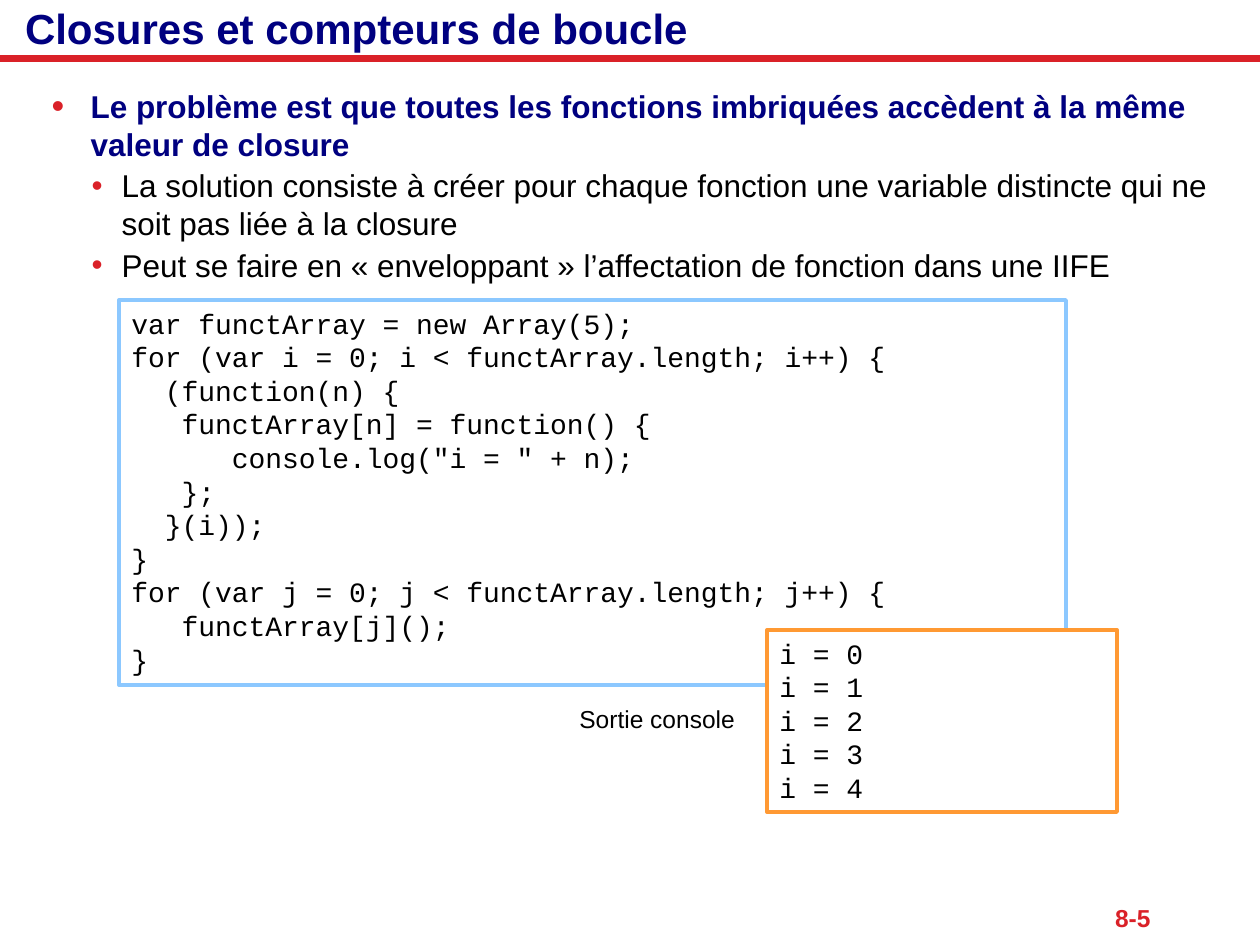
import pptx
import pptx.util
import pptx.dml.color
import pptx.enum.shapes
import pptx.enum.text
import pptx.oxml

PIXEL = 914400 / 126
NAVY, RED, BLACK = "000080", "DA2128", "000000"
ANCHOR = pptx.enum.text.MSO_ANCHOR
ALIGN = pptx.enum.text.PP_ALIGN
NAMESPACE = 'xmlns:a="http://schemas.openxmlformats.org/drawingml/2006/main"'


def pixels(*lengths):
    return [pptx.util.Emu(round(length * PIXEL)) for length in lengths]


def write(paragraph, text, size, value, font="Arial", bold=False):
    paragraph.line_spacing = 1.0
    for index, line in enumerate(text.split("\n")):
        if index:
            paragraph.add_line_break()
        run = paragraph.add_run()
        run.text = line
        run.font.size = pptx.util.Pt(size)
        run.font.name = font
        run.font.bold = bold
        run.font.color.rgb = pptx.dml.color.RGBColor.from_string(value)


color = pptx.dml.color.RGBColor.from_string
presentation = pptx.Presentation()
presentation.slide_width, presentation.slide_height = pixels(1260, 945)
slide = presentation.slides.add_slide(presentation.slide_layouts[1])
shapes = slide.shapes

# Red rule under the title
rule = shapes.add_connector(
    pptx.enum.shapes.MSO_CONNECTOR.STRAIGHT, *pixels(0, 59, 1260, 59))
rule.line.color.rgb = color(RED)
rule.line.width = pptx.util.Pt(4)
rule._element.spPr.append(pptx.oxml.parse_xml(f"<a:effectLst {NAMESPACE}/>"))

# Title
title = shapes.title
title.left, title.top, title.width, title.height = pixels(0, 0, 1260, 56)
frame = title.text_frame
frame.auto_size = pptx.enum.text.MSO_AUTO_SIZE.NONE
frame.vertical_anchor = ANCHOR.MIDDLE
frame.margin_left, frame.margin_right = pixels(25, 13)
frame.margin_top = frame.margin_bottom = 0
frame.paragraphs[0].alignment = ALIGN.LEFT
write(frame.paragraphs[0], "Closures et compteurs de boucle", 24, NAVY, bold=True)

# Bulleted list: level, text
points = [
    (0, "Le problème est que toutes les fonctions imbriquées accèdent à la même valeur de closure"),
    (1, "La solution consiste à créer pour chaque fonction une variable distincte qui ne soit pas "
        "liée à la closure"),
    (1, "Peut se faire en «\u00a0enveloppant\u00a0» l’affectation de fonction dans une IIFE"),
]
# Per level: margin, indent, space before, bullet size, colour, bold
levels = [(39, -39, 14, 115, NAVY, True), (70, -30, 2, 100, BLACK, False)]
body = slide.placeholders[1]
body.left, body.top, body.width, body.height = pixels(39, 81, 1184, 210)
frame = body.text_frame
frame.auto_size = pptx.enum.text.MSO_AUTO_SIZE.NONE
for index, (level, text) in enumerate(points):
    margin, indent, before, bullet_size, value, bold = levels[level]
    paragraph = frame.add_paragraph() if index else frame.paragraphs[0]
    paragraph.level = level
    paragraph.space_before = pptx.util.Pt(before)
    write(paragraph, text, 18, value, bold=bold)
    properties = paragraph._p.get_or_add_pPr()
    for name, length in zip(("marL", "indent"), pixels(margin, indent)):
        properties.set(name, str(int(length)))
    for bullet in (f'<a:buClr {NAMESPACE}><a:srgbClr val="{RED}"/></a:buClr>',
                   f'<a:buSzPct {NAMESPACE} val="{bullet_size * 1000}"/>',
                   f'<a:buFont {NAMESPACE} typeface="Arial"/>',
                   f'<a:buChar {NAMESPACE} char="•"/>'):
        properties.append(pptx.oxml.parse_xml(bullet))

# Code and console boxes: position, outline, fill, paragraphs
code = [
    "var functArray = new Array(5);",
    """for (var i = 0; i < functArray.length; i++) {
  (function(n) {
   functArray[n] = function() {
      console.log("i = " + n);
   };
  }(i));
}""",
    """for (var j = 0; j < functArray.length; j++) {
   functArray[j]();
}""",
]
output = [f"i = {n}" for n in range(5)]
boxes = [
    ((119, 300, 947, 385), "8CC8FF", None, code),
    ((767, 630, 350, 182), "FF9933", "FFFFFF", output),
]
for position, outline, fill, lines in boxes:
    box = shapes.add_shape(pptx.enum.shapes.MSO_SHAPE.RECTANGLE, *pixels(*position))
    box.shadow.inherit = False
    box.line.color.rgb = color(outline)
    box.line.width = pptx.util.Pt(2.25)
    if fill:
        box.fill.solid()
        box.fill.fore_color.rgb = color(fill)
    else:
        box.fill.background()
    frame = box.text_frame
    frame.word_wrap = True
    frame.vertical_anchor = ANCHOR.TOP
    for index, text in enumerate(lines):
        paragraph = frame.add_paragraph() if index else frame.paragraphs[0]
        paragraph.alignment = ALIGN.LEFT
        write(paragraph, text, 16, BLACK, font="Courier New")

# Console label and page number
labels = [
    ((567, 698, 181, 43), "Sortie console", BLACK, False, ALIGN.LEFT, ANCHOR.TOP, False),
    ((989, 896, 174, 43), "8-5", RED, True, ALIGN.RIGHT, ANCHOR.MIDDLE, True),
]
for position, text, value, bold, alignment, anchor, wrap in labels:
    label = shapes.add_textbox(*pixels(*position))
    frame = label.text_frame
    frame.word_wrap = wrap
    frame.vertical_anchor = anchor
    frame.paragraphs[0].alignment = alignment
    write(frame.paragraphs[0], text, 14, value, bold=bold)

presentation.save("out.pptx")
